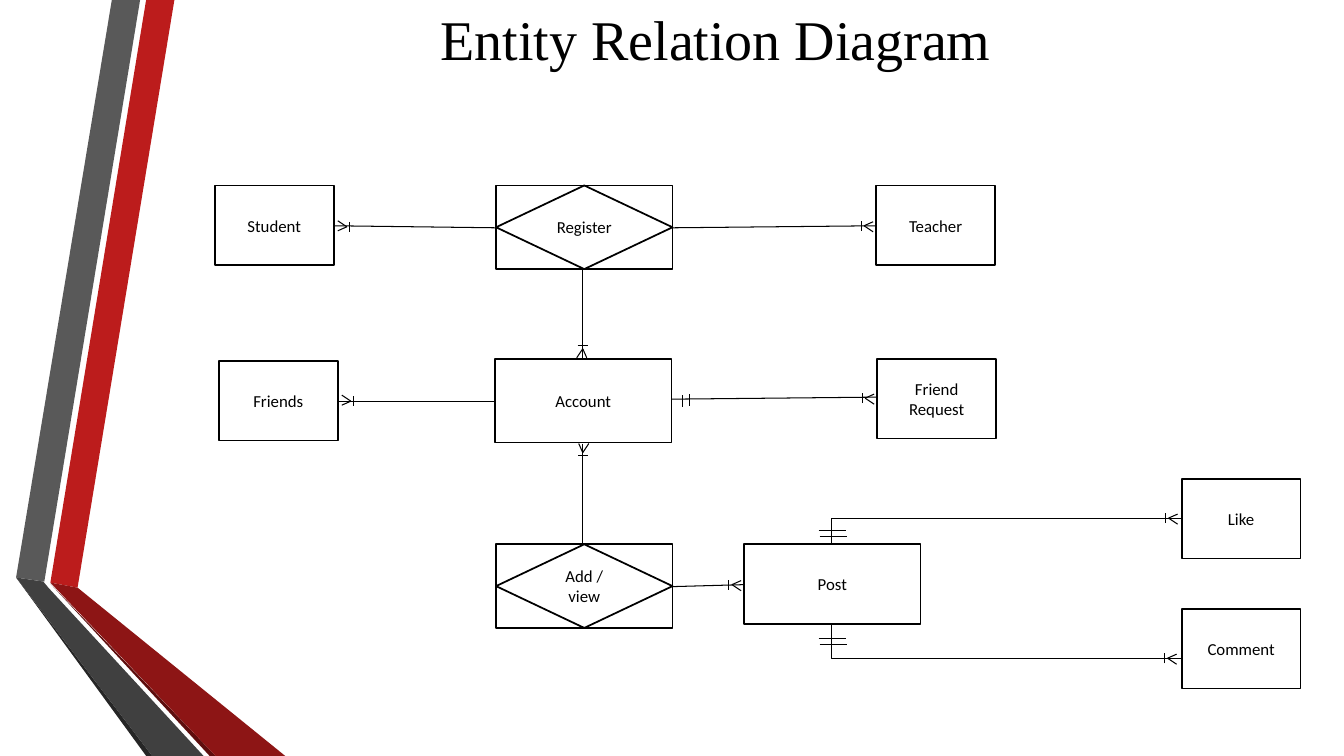
import dataclasses

import lxml.etree
import pptx
import pptx.dml.color
import pptx.enum.shapes
import pptx.enum.text
import pptx.oxml.ns
import pptx.util

PX = 9144  # 100 px to the inch
Shape = pptx.enum.shapes.MSO_SHAPE
Link = pptx.enum.shapes.MSO_CONNECTOR


def rgb(code):
    return pptx.dml.color.RGBColor.from_string(code)


@dataclasses.dataclass(frozen=True)
class Theme:
    ink: str = "000000"
    paper: str = "FFFFFF"
    red: str = "BC1C1C"
    wine: str = "8D1515"
    dark_wine: str = "5E0E0E"
    gray: str = "595959"
    slate: str = "404040"
    coal: str = "262626"
    head_font: str = "Times New Roman"
    body_font: str = "Calibri"
    head_size: int = 40
    body_size: int = 12
    border: float = 1.25
    wire: float = 0.75


theme = Theme()
deck = pptx.Presentation()
deck.slide_width, deck.slide_height = 1333 * PX, 750 * PX
slide = deck.slides.add_slide(deck.slide_layouts[6])
shapes = slide.shapes


def write(shape, text, font=theme.body_font, size=theme.body_size, color=theme.ink):
    """Fill a shape with centred text, one paragraph per line."""
    frame = shape.text_frame
    frame.word_wrap = True
    frame.vertical_anchor = pptx.enum.text.MSO_ANCHOR.MIDDLE
    frame.text = text
    for para in frame.paragraphs:
        para.alignment = pptx.enum.text.PP_ALIGN.CENTER
        for run in para.runs:
            run.font.name = font
            run.font.size = pptx.util.Pt(size)
            run.font.color.rgb = rgb(color)


# Folded ribbons at the left edge
ribbons = [
    (theme.red, [(50, 578), (77, 583), (173, 0), (145, 0)]),
    (theme.gray, [(139, 0), (111, 0), (16, 573), (44, 577)]),
    (theme.coal, [(16, 573), (145, 750), (151, 750)]),
    (theme.dark_wine, [(50, 579), (208, 750), (214, 750)]),
    (theme.wine, [(50, 578), (214, 750), (283, 750), (77, 583)]),
    (theme.slate, [(202, 750), (48, 583), (43, 577), (16, 573), (151, 750)]),
]
for color, points in ribbons:
    pen = shapes.build_freeform(*points[0], scale=PX)
    pen.add_line_segments(points[1:], close=True)
    ribbon = pen.convert_to_shape()
    ribbon.shadow.inherit = False
    ribbon.fill.solid()
    ribbon.fill.fore_color.rgb = rgb(color)
    ribbon.line.fill.background()

title = shapes.add_textbox(162 * PX, 10 * PX, 1096 * PX, 55 * PX)
write(title, "Entity Relation Diagram", font=theme.head_font, size=theme.head_size)

# Entities are boxes; relations are diamonds on an empty box
SMALL, WIDE, TALL = (118, 79), (175, 79), (175, 83)
BOX, GEM = Shape.RECTANGLE, Shape.FLOWCHART_DECISION
nodes = [
    (BOX, 213, 184, SMALL, "Student"),
    (BOX, 492, 184, TALL, ""),
    (GEM, 492, 184, TALL, "Register"),
    (BOX, 869, 184, SMALL, "Teacher"),
    (BOX, 217, 358, SMALL, "Friends"),
    (BOX, 491, 356, TALL, "Account"),
    (BOX, 870, 356, SMALL, "Friend Request"),
    (BOX, 492, 540, TALL, ""),
    (GEM, 492, 540, TALL, "Add /\nview"),
    (BOX, 738, 540, WIDE, "Post"),
    (BOX, 1172, 475, SMALL, "Like"),
    (BOX, 1172, 604, SMALL, "Comment"),
]
for kind, left, top, (width, height), label in nodes:
    node = shapes.add_shape(kind, left * PX, top * PX, width * PX, height * PX)
    node.shadow.inherit = False
    node.fill.solid()
    node.fill.fore_color.rgb = rgb(theme.paper)
    node.line.color.rgb = rgb(theme.ink)
    node.line.width = pptx.util.Pt(theme.border)
    if label:
        write(node, label)

# Straight wires: from x, y to x, y
wires = [
    (331, 224, 492, 226),
    (869, 224, 667, 226),
    (578, 268, 578, 356),
    (335, 398, 491, 398),
    (666, 396, 870, 394),
    (578, 440, 578, 540),
    (667, 582, 738, 580),
]
# "Exactly one" marks: a pair of bars
wires += [
    (684, 391, 684, 403),
    (677, 392, 677, 404),
    (812, 526, 839, 526),
    (813, 532, 840, 532),
    (812, 633, 839, 633),
    (813, 639, 840, 639),
]
# "One or many" marks: root x, y and the way out of the box
feet = [
    (332, 225, 1, 0),
    (336, 398, 1, 0),
    (869, 224, -1, 0),
    (870, 395, -1, 0),
    (738, 580, -1, 0),
    (1171, 514, -1, 0),
    (1170, 653, -1, 0),
    (578, 358, 0, -1),
    (578, 437, 0, 1),
]
for x, y, dx, dy in feet:
    # Each stroke joins two points given as (distance out, distance aside)
    for ends in [(3, 6, 12, 0), (12, 0, 3, -4), (15, 5, 15, -5)]:
        wire = []
        for out, side in (ends[:2], ends[2:]):
            wire += [x + out * dx + side * dy, y + out * dy - side * dx]
        wires.append(tuple(wire))

# Bent wires run level from the entity, then turn to Post
bends = [(1172, 514, 825, 540), (1172, 653, 825, 619)]

routes = [(Link.STRAIGHT, wire) for wire in wires]
routes += [(Link.ELBOW, bend) for bend in bends]
for kind, ends in routes:
    link = shapes.add_connector(kind, *(end * PX for end in ends))
    link.line.color.rgb = rgb(theme.ink)
    link.line.width = pptx.util.Pt(theme.wire)
    props = link._element.spPr
    if kind == Link.ELBOW:
        props.find(pptx.oxml.ns.qn("a:prstGeom")).set("prst", "bentConnector2")
    lxml.etree.SubElement(props, pptx.oxml.ns.qn("a:effectLst"))

deck.save("out.pptx")
